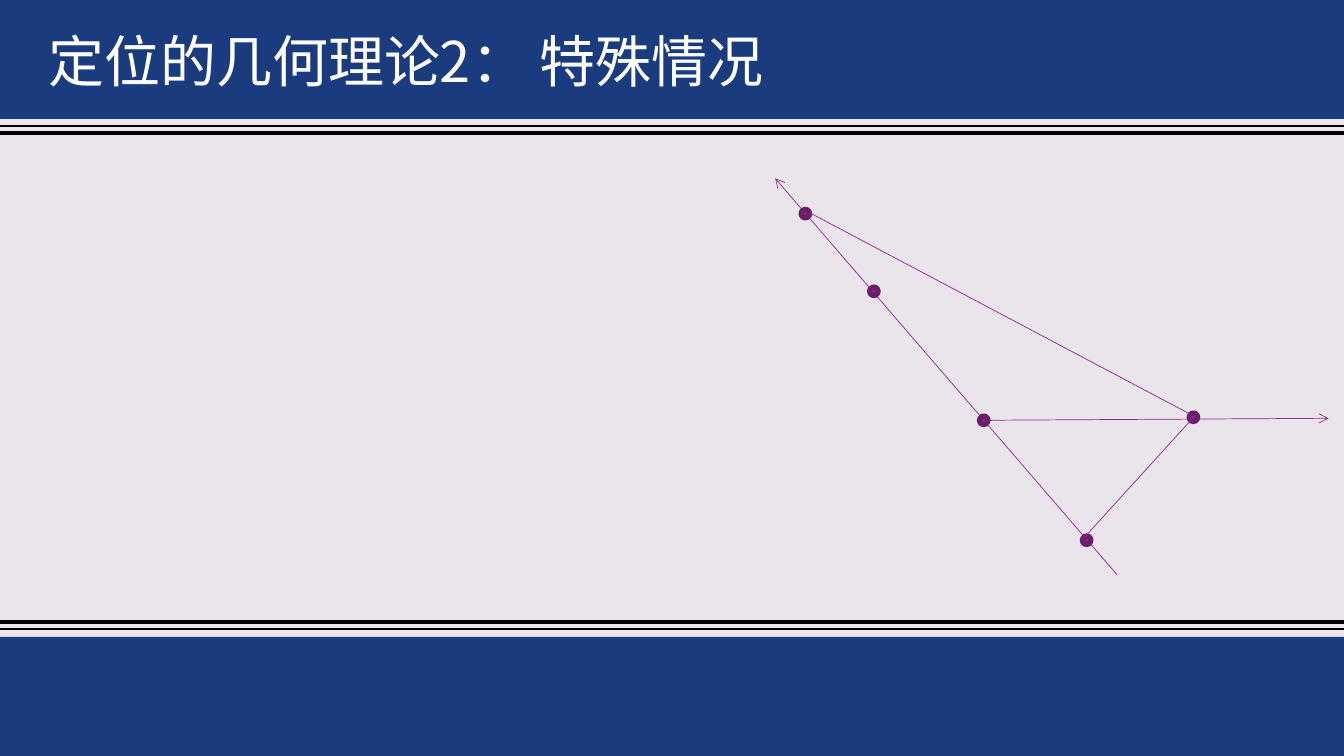
from lxml.etree import SubElement
from pptx import Presentation
from pptx.dml.color import RGBColor
from pptx.enum.shapes import MSO_CONNECTOR, MSO_SHAPE
from pptx.enum.text import MSO_ANCHOR, PP_ALIGN
from pptx.oxml.ns import qn
from pptx.util import Pt

WIDE, HIGH = 960, 540
BAND = 85


def color(text):
    return RGBColor.from_string(text)


def write(frame, text, size=40, font="Noto Sans CJK SC", ink="FFFFFF"):
    para = frame.paragraphs[0]
    para.alignment = PP_ALIGN.LEFT
    para.line_spacing = 1
    para.space_before = Pt(0)
    run = para.add_run()
    run.text = text
    run.font.size = Pt(size)
    run.font.name = font
    run.font.bold = False
    run.font.color.rgb = color(ink)
    SubElement(run.font._element, qn("a:ea")).set("typeface", font)


class Board:
    """Holds the style and the current slide, and draws each kind of element."""

    paper, navy, black = "EAE5EB", "1B3B7F", "000000"
    violet, plum = "92278F", "6C1D6A"

    def __init__(self, deck):
        self.slide = deck.slides.add_slide(deck.slide_layouts[5])
        self.shapes = self.slide.shapes
        fill = self.slide.background.fill
        fill.solid()
        fill.fore_color.rgb = color(self.paper)

    def shape(self, kind, left, top, width, height, fill):
        item = self.shapes.add_shape(kind, Pt(left), Pt(top), Pt(width), Pt(height))
        item.shadow.inherit = False
        item.fill.solid()
        item.fill.fore_color.rgb = color(fill)
        item.line.fill.background()
        return item

    def band(self, top):
        self.shape(MSO_SHAPE.RECTANGLE, 0, top, WIDE, BAND, self.navy)

    def dot(self, x, y, size=6):
        half = size / 2
        item = self.shape(MSO_SHAPE.OVAL, x - half, y - half, size, size, self.violet)
        item.line.color.rgb = color(self.plum)
        item.line.width = Pt(3.78)

    def line(self, start, end, ink=violet, width=0.5, arrow=False):
        ends = [Pt(n) for n in (*start, *end)]
        item = self.shapes.add_connector(MSO_CONNECTOR.STRAIGHT, *ends)
        item.line.color.rgb = color(ink)
        item.line.width = Pt(width)
        if arrow:
            SubElement(item.line._get_or_add_ln(), qn("a:tailEnd")).set("type", "arrow")
        SubElement(item._element.spPr, qn("a:effectLst"))

    def rule(self, y, width):
        self.line((0, y), (WIDE, y), self.black, width)

    def title(self, text, left, top, width, height):
        item = self.shapes.title
        item.left, item.top = Pt(left), Pt(top)
        item.width, item.height = Pt(width), Pt(height)
        frame = item.text_frame
        frame.word_wrap = True
        frame.vertical_anchor = MSO_ANCHOR.TOP
        write(frame, text)
        self.shapes._spTree.append(item._element)


def main():
    deck = Presentation()
    deck.slide_width, deck.slide_height = Pt(WIDE), Pt(HIGH)
    board = Board(deck)

    for y, width in ((444.24, 3), (449.28, 1), (95.04, 3), (90, 1)):
        board.rule(y, width)
    for top in (HIGH - BAND, 0):
        board.band(top)
    board.title("定位的几何理论2： 特殊情况", 27.36, 15.12, 581.76, 55.44)

    board.line((797.8, 410.4), (553.7, 127.4), arrow=True)
    board.line((702.7, 300.2), (949, 298.8), arrow=True)
    for x, y in ((624.2, 208.1), (852.5, 298.1), (702.7, 300.2), (575.3, 152.6)):
        board.dot(x, y)
    board.line((578.2, 151.9), (850.3, 295.9))
    board.dot(776.2, 385.9)
    board.line((774, 384.5), (853.9, 296.6))

    deck.save("out.pptx")


if __name__ == "__main__":
    main()
